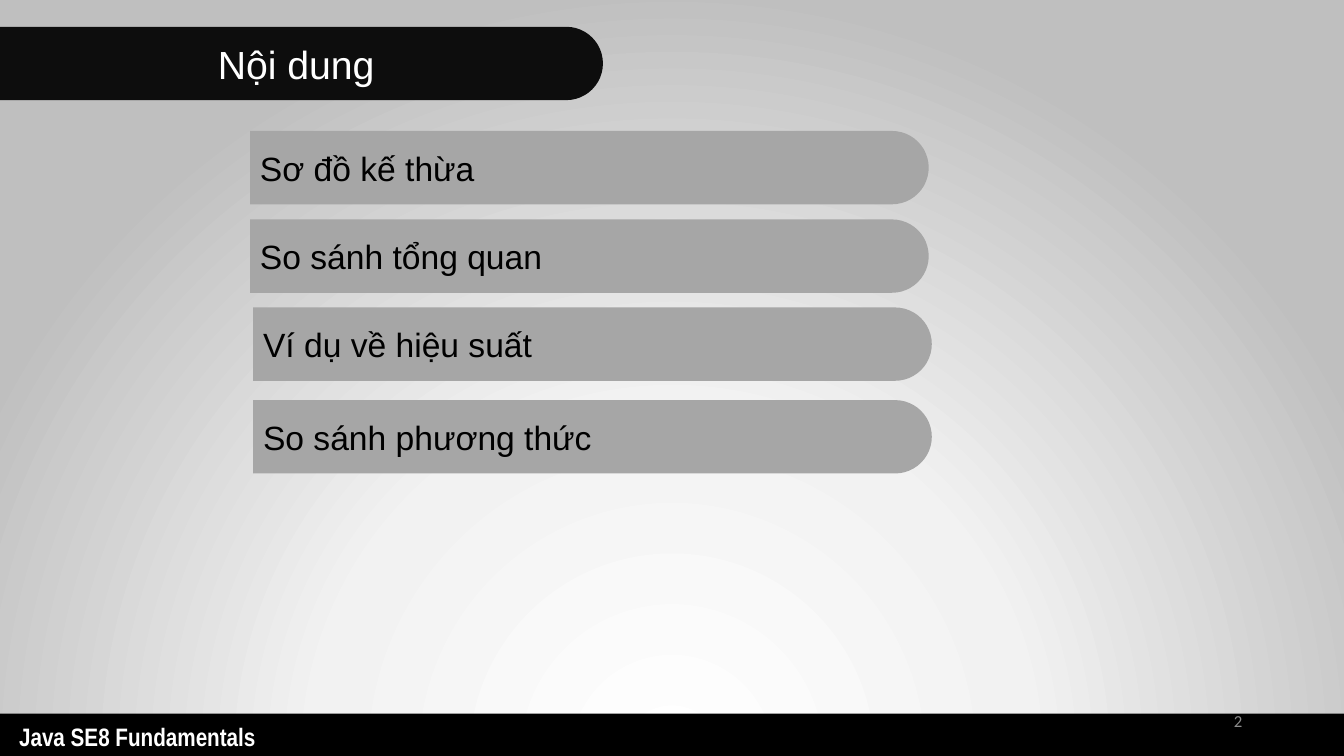
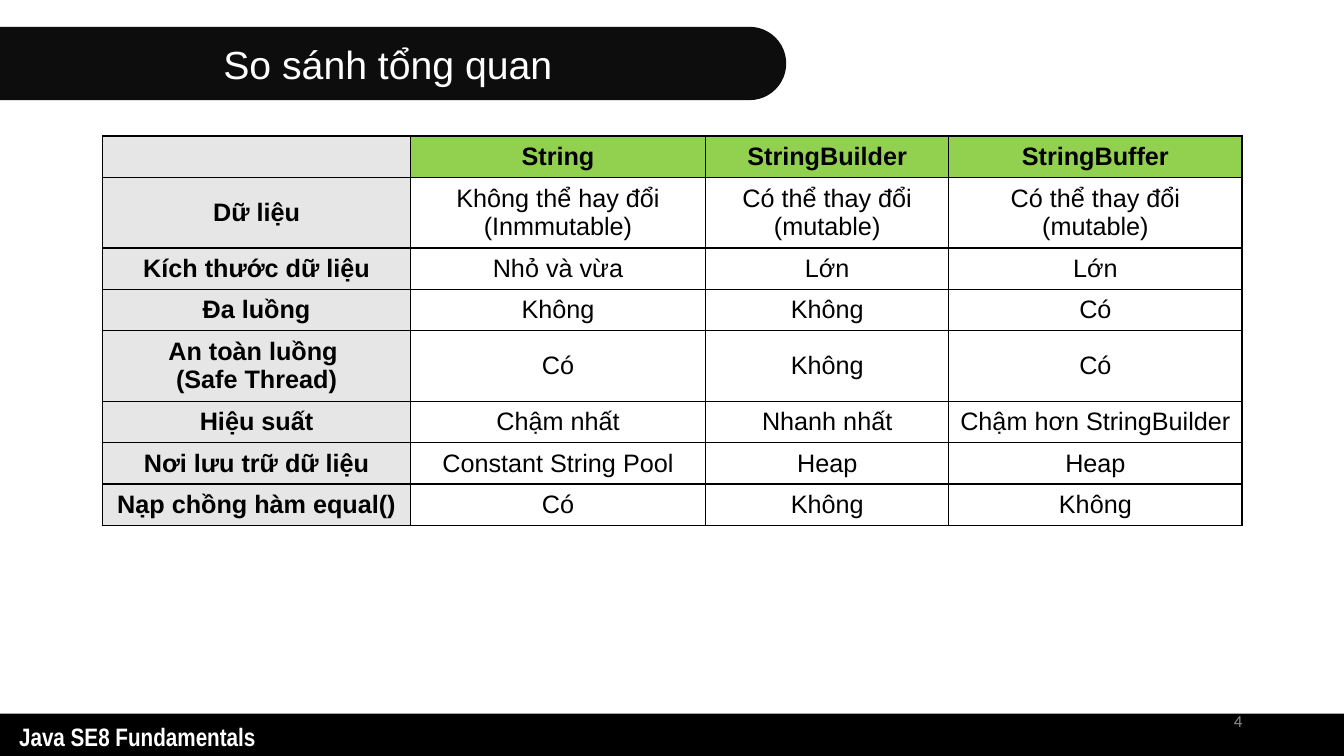
"""Build two slides that compare the string classes: an outline and an overview table."""
from dataclasses import dataclass

from pptx import Presentation
from pptx.dml.color import RGBColor
from pptx.enum.shapes import MSO_SHAPE as Preset
from pptx.enum.text import MSO_ANCHOR as Anchor, PP_ALIGN as Align
from pptx.oxml import parse_xml
from pptx.oxml.ns import nsdecls
from pptx.util import Inches, Pt


@dataclass(frozen=True)
class Theme:
    black: str = "000000"
    white: str = "FFFFFF"
    title_band: str = "0D0D0D"
    topic_band: str = "A6A6A6"
    page_number: str = "8C8C8C"
    row_head: str = "E7E6E6"
    column_head: str = "92D050"
    gradient: tuple = ((0, "FFFFFF"), (46, "F2F2F2"), (100, "BFBFBF"))
    body_font: str = "Arial"
    footer_font: str = "Arial Narrow"
    number_font: str = "Calibri"
    title_size: int = 28
    topic_size: int = 24
    text_size: int = 18
    number_size: int = 12
    border: int = 1


theme = Theme()
presentation = Presentation()
presentation.slide_width = Inches(13.33)
presentation.slide_height = Inches(7.5)
column = presentation.slide_width / 100
row = presentation.slide_height / 100
band_height = 9.7


def write(frame, text, size, color, font=theme.body_font, bold=False, align=Align.LEFT):
    """Write each line of the text as a paragraph with one styled run."""
    for index, line in enumerate(text.split("\n")):
        paragraph = frame.add_paragraph() if index else frame.paragraphs[0]
        paragraph.alignment = align
        run = paragraph.add_run()
        run.text = line
        run.font.name = font
        run.font.size = Pt(size)
        run.font.bold = bold
        run.font.color.rgb = RGBColor.from_string(color)


def add_block(slide, preset, left, top, width, height, fill):
    """Add a plain filled shape; a round-ended band is a turned tab with upright text."""
    x, y, w, h = (int(v) for v in (left * column, top * row, width * column, height * row))
    turned = preset == Preset.ROUND_2_SAME_RECTANGLE
    if turned:
        x, y, w, h = x + (w - h) // 2, y - (w - h) // 2, h, w
    shape = slide.shapes.add_shape(preset, x, y, w, h)
    shape.shadow.inherit = False
    shape.fill.solid()
    shape.fill.fore_color.rgb = RGBColor.from_string(fill)
    shape.line.fill.background()
    shape.text_frame.vertical_anchor = Anchor.TOP
    if turned:
        shape.rotation = 90
        shape.adjustments[0], shape.adjustments[1] = 0.5, 0
        shape.text_frame.vertical_anchor = Anchor.MIDDLE
        shape.text_frame._txBody.bodyPr.set("vert", "vert270")
    return shape


slides = []
for title, title_width, number in (("Nội dung", 44.86, "2"), ("So sánh tổng quan", 58.5, "4")):
    slide = presentation.slides.add_slide(presentation.slide_layouts[6])
    slides.append(slide)
    add_block(slide, Preset.RECTANGLE, 0, 94.4, 100, 6.13, theme.black)
    label = add_block(slide, Preset.RECTANGLE, 0.68, 94.8, 24.6, 5.33, theme.black)
    write(label.text_frame, "Java SE8 Fundamentals", theme.text_size, theme.white,
          theme.footer_font, bold=True)
    band = add_block(slide, Preset.ROUND_2_SAME_RECTANGLE, 0, 3.55, title_width, band_height,
                     theme.title_band)
    write(band.text_frame, title, theme.title_size, theme.white, align=Align.CENTER)
    page = slide.shapes.add_textbox(int(70.67 * column), int(92.7 * row),
                                    int(22.5 * column), int(5.33 * row))
    page.text_frame.word_wrap = True
    page.text_frame.vertical_anchor = Anchor.MIDDLE
    write(page.text_frame, number, theme.number_size, theme.page_number,
          theme.number_font, align=Align.RIGHT)

outline, overview = slides

stops = "".join(f'<a:gs pos="{share * 1000}"><a:srgbClr val="{color}"/></a:gs>'
                for share, color in theme.gradient)
outline.element.cSld.insert(0, parse_xml(
    f'<p:bg {nsdecls("p", "a")}><p:bgPr><a:gradFill rotWithShape="1"><a:gsLst>{stops}</a:gsLst>'
    '<a:path path="circle"><a:fillToRect l="50000" t="130000" r="50000" b="-30000"/></a:path>'
    '</a:gradFill><a:effectLst/></p:bgPr></p:bg>'))

topics = (
    ("Sơ đồ kế thừa", 18.6, 17.33),
    ("So sánh tổng quan", 18.6, 29.03),
    ("Ví dụ về hiệu suất", 18.83, 40.67),
    ("So sánh phương thức", 18.83, 52.93),
)
for topic, left, top in topics:
    band = add_block(outline, Preset.ROUND_2_SAME_RECTANGLE, left, top, 50.5, band_height,
                     theme.topic_band)
    write(band.text_frame, topic, theme.topic_size, theme.black)

overview.background.fill.solid()
overview.background.fill.fore_color.rgb = RGBColor.from_string(theme.white)

comparison = (
    ("", "String", "StringBuilder", "StringBuffer"),
    ("Dữ liệu", "Không thể hay đổi (Inmmutable)", "Có thể thay đổi (mutable)",
     "Có thể thay đổi (mutable)"),
    ("Kích thước dữ liệu", "Nhỏ và vừa", "Lớn", "Lớn"),
    ("Đa luồng", "Không", "Không", "Có"),
    ("An toàn luồng \n(Safe Thread)", "Có", "Không", "Có"),
    ("Hiệu suất", "Chậm nhất", "Nhanh nhất", "Chậm hơn StringBuilder"),
    ("Nơi lưu trữ dữ liệu", "Constant String Pool", "Heap", "Heap"),
    ("Nạp chồng hàm equal()", "Có", "Không", "Không"),
)
column_shares = (22.88, 21.98, 18.08, 21.83)
row_share = 5.47
table = overview.shapes.add_table(
    len(comparison), len(column_shares), int(7.65 * column), int(18 * row),
    int(sum(column_shares) * column), int(len(comparison) * row_share * row)).table
table.first_row = False
table.horz_banding = False
for table_column, share in zip(table.columns, column_shares):
    table_column.width = int(share * column)

for row_index, texts in enumerate(comparison):
    table.rows[row_index].height = int(row_share * row)
    for column_index, text in enumerate(texts):
        cell = table.cell(row_index, column_index)
        cell.vertical_anchor = Anchor.MIDDLE
        if column_index == 0:
            fill = theme.row_head
        else:
            fill = theme.white if row_index else theme.column_head
        cell.fill.solid()
        cell.fill.fore_color.rgb = RGBColor.from_string(fill)
        if text:
            write(cell.text_frame, text, theme.text_size, theme.black,
                  bold=row_index == 0 or column_index == 0, align=Align.CENTER)
        properties = cell._tc.get_or_add_tcPr()
        for position, edge in enumerate(("lnL", "lnR", "lnT", "lnB")):
            properties.insert(position, parse_xml(
                f'<a:{edge} {nsdecls("a")} w="{Pt(theme.border)}"><a:solidFill>'
                f'<a:srgbClr val="{theme.black}"/></a:solidFill></a:{edge}>'))

presentation.save("out.pptx")
